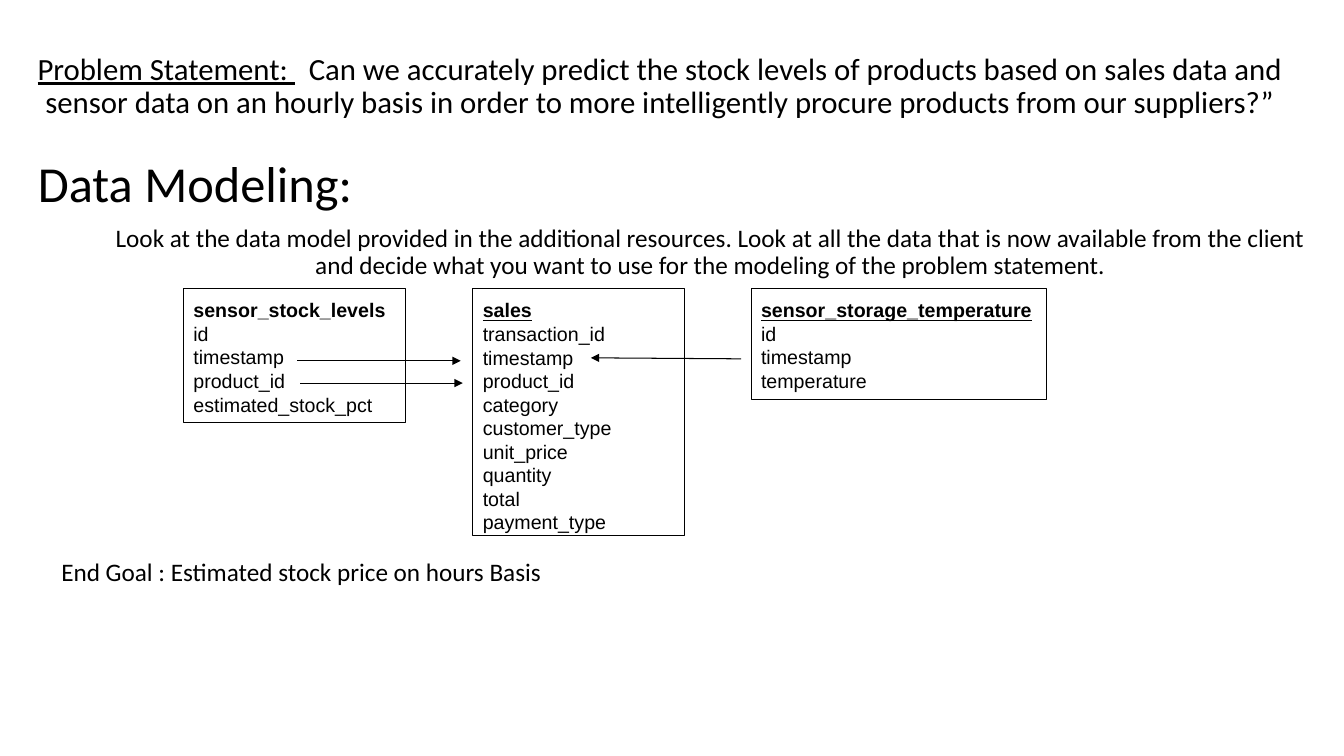
import pptx
import pptx.util
import pptx.dml.color
import pptx.enum.shapes
import pptx.enum.text
import pptx.oxml.ns
from lxml import etree

CELLS_PER_INCH = 10  # the grid has ten columns and ten rows to the inch
ALIGN = pptx.enum.text.PP_ALIGN
ANCHOR = pptx.enum.text.MSO_ANCHOR


def cells(n):
    return pptx.util.Inches(n / CELLS_PER_INCH)


def color(value):
    return pptx.dml.color.RGBColor.from_string(value)


class Sheet:
    ink = "000000"
    line_width = 0.75
    text_font, table_font = "Calibri", "Arial"

    def __init__(self, prs):
        self.slide = prs.slides.add_slide(prs.slide_layouts[6])

    def style(self, r, size, font, bold=False, underline=False):
        r.font.size = pptx.util.Pt(size)
        r.font.name = font
        r.font.bold = bold
        r.font.underline = underline
        r.font.color.rgb = color(self.ink)

    def outline(self, sp):
        sp.line.color.rgb = color(self.ink)
        sp.line.width = pptx.util.Pt(self.line_width)

    def text(self, box, parts, size, align=ALIGN.CENTER, anchor=ANCHOR.TOP,
             spacing=0.9, bottom=0.5):
        """Add one paragraph made of (wording, underlined) parts."""
        sp = self.slide.shapes.add_textbox(*map(cells, box))
        tf = sp.text_frame
        tf.word_wrap = True
        tf.vertical_anchor = anchor
        tf.margin_bottom = cells(bottom)
        p = tf.paragraphs[0]
        p.alignment = align
        p.line_spacing = spacing
        for wording, underlined in parts:
            r = p.add_run()
            r.text = wording
            self.style(r, size, self.text_font, underline=underlined)

    def entity(self, box, name, fields, underline=True):
        """Add a data table box with a bold name above its fields."""
        sp = self.slide.shapes.add_shape(
            pptx.enum.shapes.MSO_SHAPE.RECTANGLE, *map(cells, box))
        sp.shadow.inherit = False
        sp.fill.background()
        self.outline(sp)
        tf = sp.text_frame
        tf.word_wrap = True
        tf.vertical_anchor = ANCHOR.TOP
        tf.margin_left = tf.margin_right = cells(1)
        tf.margin_top = tf.margin_bottom = cells(1)
        tf.text = "\n".join([name] + fields)
        for i, p in enumerate(tf.paragraphs):
            p.alignment = ALIGN.LEFT
            self.style(p.runs[0], 14, self.table_font,
                       bold=i == 0, underline=underline and i == 0)

    def arrow(self, x1, y1, x2, y2):
        sp = self.slide.shapes.add_connector(
            pptx.enum.shapes.MSO_CONNECTOR.STRAIGHT,
            *map(cells, (x1, y1, x2, y2)))
        self.outline(sp)
        qn = pptx.oxml.ns.qn
        etree.SubElement(sp.line._get_or_add_ln(), qn("a:tailEnd"),
                         type="triangle")
        etree.SubElement(sp._element.spPr, qn("a:effectLst"))


prs = pptx.Presentation()
prs.slide_width = pptx.util.Inches(13.33)
prs.slide_height = pptx.util.Inches(7.5)
sheet = Sheet(prs)

# Heading and introduction
sheet.text((-2.7, 14.3, 44.1, 17.4), [("Data Modeling:", False)], 36,
           anchor=ANCHOR.BOTTOM, bottom=10.5)
sheet.text((9.7, 21.9, 121.5, 18.1), [(
    "Look at the data model provided in the additional resources. Look at all "
    "the data that is now available from the client and decide what you want "
    "to use for the modeling of the problem statement.", False)], 18)

# Data model
top = 28.6
sheet.entity((46.9, top, 21, 24.5), "sales", [
    "transaction_id", "timestamp", "product_id", "category", "customer_type",
    "unit_price", "quantity", "total", "payment_type"])
sheet.entity((74.5, top, 29.3, 11), "sensor_storage_temperature",
             ["id", "timestamp", "temperature"])
sheet.entity((18.2, top, 22, 13.3), "sensor_stock_levels",
             ["id", "timestamp", "product_id", "estimated_stock_pct"],
             underline=False)

# Shared keys
sheet.arrow(29.8, 38, 45.9, 38)
sheet.arrow(29.5, 35.8, 45.7, 35.8)
sheet.arrow(73.5, 35.6, 58.6, 35.5)

# Problem statement and goal
sheet.text((-0.3, 0, 131.5, 17.4), [
    ("Problem Statement: ", True),
    ("  Can we accurately predict the stock levels of products based on sales "
     "data and sensor data on an hourly basis in order to more intelligently "
     "procure products from our suppliers?”", False)], 22,
    anchor=ANCHOR.BOTTOM, bottom=5.5)
sheet.text((5.1, 54.7, 58.3, 4),
           [("End Goal : Estimated stock price on hours Basis", False)], 18,
           align=ALIGN.LEFT, spacing=1.0)

prs.save("out.pptx")
